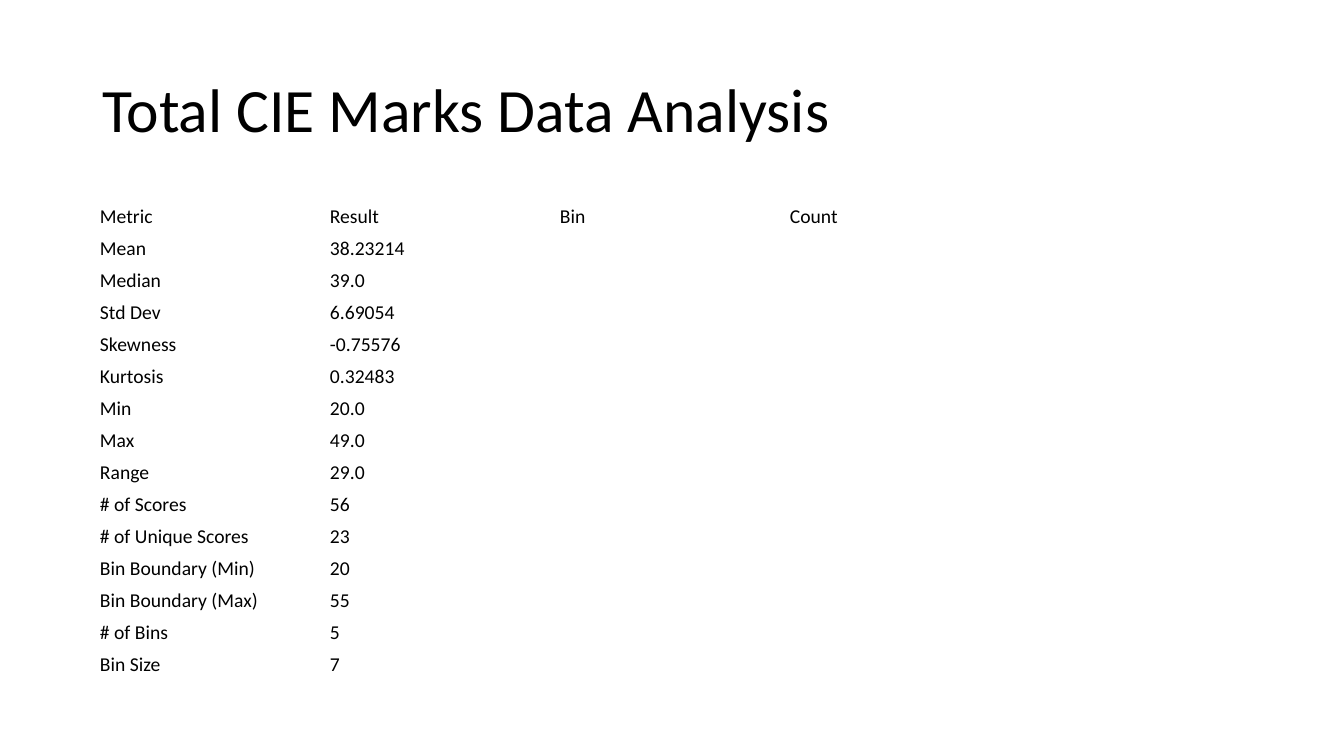
from lxml import etree
from pptx import Presentation
from pptx.dml.color import RGBColor
from pptx.enum.text import MSO_ANCHOR, PP_ALIGN
from pptx.oxml.ns import qn
from pptx.util import Pt

EMU_PER_PX = 914400 / 100.8
BLACK = RGBColor(0x00, 0x00, 0x00)
FONT = "Calibri"
MIDDLE = MSO_ANCHOR.MIDDLE
LEFT = PP_ALIGN.LEFT
TITLE_ONLY = 5

HEADINGS = ("Metric", "Result", "Bin", "Count")
METRICS = (
    ("Mean", "38.23214"),
    ("Median", "39.0"),
    ("Std Dev", "6.69054"),
    ("Skewness", "-0.75576"),
    ("Kurtosis", "0.32483"),
    ("Min", "20.0"),
    ("Max", "49.0"),
    ("Range", "29.0"),
    ("# of Scores", "56"),
    ("# of Unique Scores", "23"),
    ("Bin Boundary (Min)", "20"),
    ("Bin Boundary (Max)", "55"),
    ("# of Bins", "5"),
    ("Bin Size", "7"),
)
COLUMN_WIDTH, ROW_HEIGHT = 230, 32
CELL_SIZE = 14


def px(length):
    return round(length * EMU_PER_PX)


def style_paragraph(paragraph, size):
    paragraph.alignment = LEFT
    paragraph.font.name = FONT
    paragraph.font.size = Pt(size)
    paragraph.font.color.rgb = BLACK


def add_title(slide, text):
    title = slide.shapes.title
    title.left, title.top = px(92), px(40)
    title.width, title.height = px(1160), px(146)
    frame = title.text_frame
    frame.text = text
    frame.word_wrap = True
    frame.vertical_anchor = MIDDLE
    heading = frame.paragraphs[0]
    style_paragraph(heading, 44)
    heading.line_spacing = 0.9


def fill_cell(cell, text):
    cell.fill.background()
    cell.vertical_anchor = MIDDLE
    cell.margin_left = cell.margin_right = px(8)
    cell.margin_top = cell.margin_bottom = px(4)
    cell.text = text
    paragraph = cell.text_frame.paragraphs[0]
    style_paragraph(paragraph, CELL_SIZE)
    if not text:
        # An empty cell takes its line height from the end mark
        end_mark = etree.SubElement(paragraph._p, qn("a:endParaRPr"))
        end_mark.set("sz", str(CELL_SIZE * 100))


def add_metrics_table(slide, rows):
    columns = len(HEADINGS)
    table = slide.shapes.add_table(
        len(rows), columns, px(92), px(201),
        px(COLUMN_WIDTH * columns), px(ROW_HEIGHT * len(rows))).table
    table.first_row = False
    table.horz_banding = False
    for column in table.columns:
        column.width = px(COLUMN_WIDTH)
    for table_row, values in zip(table.rows, rows):
        table_row.height = px(ROW_HEIGHT)
        padded = values + ("",) * (columns - len(values))
        for cell, value in zip(table_row.cells, padded):
            fill_cell(cell, value)


def main():
    presentation = Presentation()
    presentation.slide_width, presentation.slide_height = px(1344), px(756)
    slide = presentation.slides.add_slide(presentation.slide_layouts[TITLE_ONLY])
    # Title
    add_title(slide, "Total CIE Marks Data Analysis")
    # Metrics, with the bin columns left open
    add_metrics_table(slide, (HEADINGS,) + METRICS)
    presentation.save("out.pptx")


if __name__ == "__main__":
    main()
